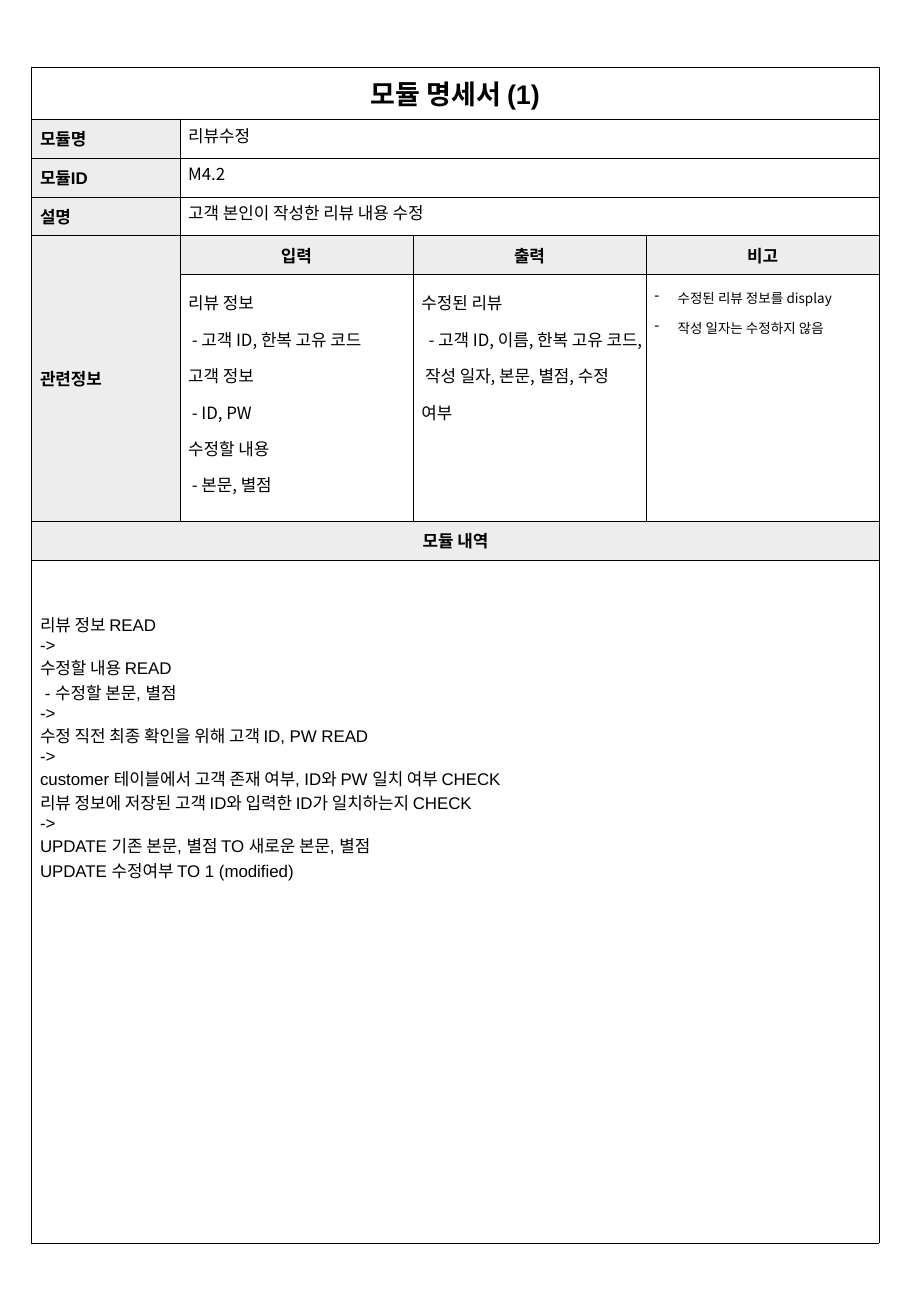
from dataclasses import dataclass

from lxml import etree
from pptx import Presentation
from pptx.dml.color import RGBColor
from pptx.enum.text import MSO_ANCHOR, PP_ALIGN
from pptx.oxml.ns import qn
from pptx.table import Table, _Cell
from pptx.text.text import _Paragraph
from pptx.util import Inches, Pt

LEFT, CENTER = PP_ALIGN.LEFT, PP_ALIGN.CENTER
TOP, MIDDLE = MSO_ANCHOR.TOP, MSO_ANCHOR.MIDDLE

COLORS = {"line": "000000", "text": "000000", "head": "EDEDED", "body": "FFFFFF"}
ARIAL, NOTO = "Arial", "Noto Sans CJK KR"
COL_WIDTHS = [1.22, 1.92, 1.92, 1.92]
ROW_HEIGHTS = [0.43, 0.32, 0.32, 0.32, 0.32, 2.03, 0.32, 5.62]
INSET_X, INSET_Y = 0.07, 0.03
BORDER_WIDTH = Pt(0.25)
BORDERS = ("a:lnL", "a:lnR", "a:lnT", "a:lnB")


@dataclass(frozen=True)
class Style:
    font: str
    size: float = 10
    bold: bool = False
    fill: str = "body"
    align: PP_ALIGN = LEFT
    anchor: MSO_ANCHOR = TOP
    spacing: float = 1.0
    bullet: str = ""
    top: float = INSET_Y
    dash_indent: float = 0.03


@dataclass(frozen=True)
class Entry:
    row: int
    col: int
    text: str
    style: Style
    rows: int = 1
    cols: int = 1


TITLE = Style(ARIAL, 16, True, align=CENTER, anchor=MIDDLE)
LABEL = Style(ARIAL, bold=True, fill="head", anchor=MIDDLE)
HEADING = Style(ARIAL, bold=True, fill="head", align=CENTER, anchor=MIDDLE)
VALUE = Style(NOTO)
INPUT = Style(NOTO, spacing=1.5)
OUTPUT = Style(NOTO, spacing=1.5, dash_indent=0.06)
REMARKS = Style(NOTO, 8, spacing=1.5, bullet="-")
DETAILS = Style(ARIAL, top=0.43, dash_indent=0.04)

FIELDS = [
    ("모듈명", "리뷰수정"),
    ("모듈ID", "M4.2"),
    ("설명", "고객 본인이 작성한 리뷰 내용 수정"),
]

INPUT_TEXT = """리뷰 정보
- 고객 ID, 한복 고유 코드
고객 정보
- ID, PW
수정할 내용
- 본문, 별점"""

OUTPUT_TEXT = """수정된 리뷰
- 고객 ID, 이름, 한복 고유 코드, 작성 일자, 본문, 별점, 수정 여부"""

REMARKS_TEXT = """수정된 리뷰 정보를 display
작성 일자는 수정하지 않음"""

DETAILS_TEXT = """리뷰 정보 READ
->
수정할 내용 READ
- 수정할 본문, 별점
->
수정 직전 최종 확인을 위해 고객 ID, PW READ
->
customer 테이블에서 고객 존재 여부, ID와 PW 일치 여부 CHECK
리뷰 정보에 저장된 고객 ID와 입력한 ID가 일치하는지 CHECK
->
UPDATE 기존 본문, 별점 TO 새로운 본문, 별점
UPDATE 수정여부 TO 1 (modified)"""

RELATED = [
    ("입력", INPUT_TEXT, INPUT),
    ("출력", OUTPUT_TEXT, OUTPUT),
    ("비고", REMARKS_TEXT, REMARKS),
]


def module_entries() -> list[Entry]:
    entries = [Entry(0, 0, "모듈 명세서 (1)", TITLE, cols=4)]
    for row, (label, value) in enumerate(FIELDS, start=1):
        entries += [Entry(row, 0, label, LABEL), Entry(row, 1, value, VALUE, cols=3)]
    entries.append(Entry(4, 0, "관련정보", LABEL, rows=2))
    for col, (heading, text, style) in enumerate(RELATED, start=1):
        entries += [Entry(4, col, heading, HEADING), Entry(5, col, text, style)]
    entries.append(Entry(6, 0, "모듈 내역", HEADING, cols=4))
    entries.append(Entry(7, 0, DETAILS_TEXT, DETAILS, cols=4))
    return entries


def format_cell(cell: _Cell, style: Style) -> None:
    """Set the borders, fill, insets and anchor of one cell."""
    tcPr = cell._tc.get_or_add_tcPr()
    for tag in BORDERS:
        ln = etree.SubElement(tcPr, qn(tag), w=str(BORDER_WIDTH))
        fill = etree.SubElement(ln, qn("a:solidFill"))
        etree.SubElement(fill, qn("a:srgbClr"), val=COLORS["line"])
    cell.fill.solid()
    cell.fill.fore_color.rgb = RGBColor.from_string(COLORS[style.fill])
    cell.margin_left = cell.margin_right = Inches(INSET_X)
    cell.margin_top, cell.margin_bottom = Inches(style.top), Inches(INSET_Y)
    cell.vertical_anchor = style.anchor


def indent_paragraph(p: _Paragraph, left: float, first: float) -> None:
    pPr = p._p.get_or_add_pPr()
    pPr.set("marL", str(Inches(left)))
    pPr.set("indent", str(Inches(first)))


def format_paragraph(p: _Paragraph, style: Style) -> None:
    p.alignment = style.align
    p.line_spacing = style.spacing
    if style.bullet:
        indent_paragraph(p, 0.19, -0.19)
        etree.SubElement(p._p.get_or_add_pPr(), qn("a:buChar"), char=style.bullet)
    elif p.text.startswith("- "):
        indent_paragraph(p, 0, style.dash_indent)
    for r in p.runs:
        r.font.name = style.font
        r.font.size = Pt(style.size)
        r.font.bold = style.bold
        r.font.color.rgb = RGBColor.from_string(COLORS["text"])
        etree.SubElement(r._r.get_or_add_rPr(), qn("a:ea"), typeface=NOTO)


def fill_entry(table: Table, entry: Entry) -> None:
    """Merge the cells that an entry covers and write its text."""
    last_row, last_col = entry.row + entry.rows, entry.col + entry.cols
    for row in range(entry.row, last_row):
        for col in range(entry.col, last_col):
            format_cell(table.cell(row, col), entry.style)
    cell = table.cell(entry.row, entry.col)
    if entry.rows * entry.cols > 1:
        cell.merge(table.cell(last_row - 1, last_col - 1))
    cell.text_frame.text = entry.text
    for p in cell.text_frame.paragraphs:
        format_paragraph(p, entry.style)


def main() -> None:
    prs = Presentation()
    prs.slide_width, prs.slide_height = Inches(7.5), Inches(10.83)
    s = prs.slides.add_slide(prs.slide_layouts[6])
    frame = s.shapes.add_table(
        len(ROW_HEIGHTS), len(COL_WIDTHS), Inches(0.26), Inches(0.55),
        Inches(sum(COL_WIDTHS)), Inches(sum(ROW_HEIGHTS)),
    )
    table = frame.table
    table.first_row = table.horz_banding = False
    for column, width in zip(table.columns, COL_WIDTHS):
        column.width = Inches(width)
    for row, height in zip(table.rows, ROW_HEIGHTS):
        row.height = Inches(height)
    for entry in module_entries():
        fill_entry(table, entry)
    prs.save("out.pptx")


if __name__ == "__main__":
    main()
